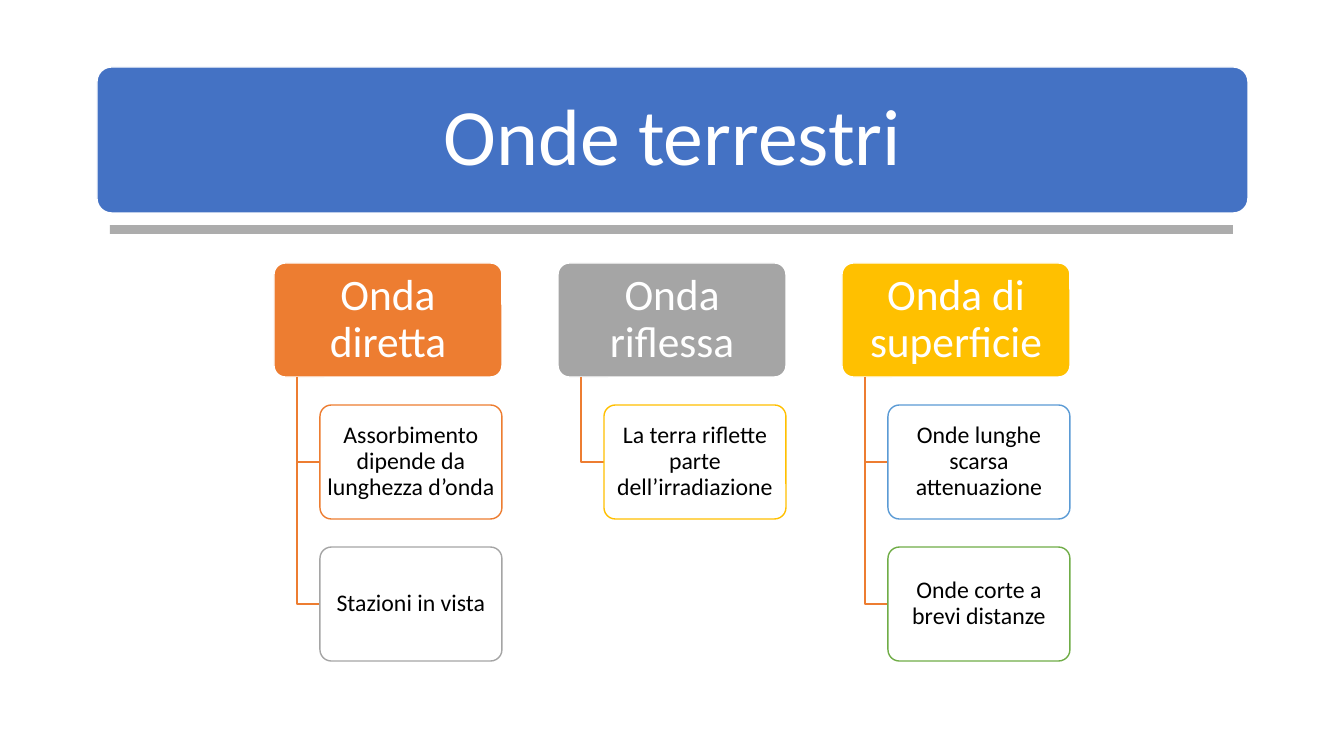
from lxml.etree import SubElement
from pptx import Presentation
from pptx.dml.color import RGBColor
from pptx.enum.shapes import MSO_SHAPE
from pptx.enum.text import MSO_ANCHOR, MSO_AUTO_SIZE, PP_ALIGN
from pptx.oxml.ns import qn
from pptx.util import Emu, Pt

WHITE = RGBColor(0xFF, 0xFF, 0xFF)
BLACK = RGBColor(0x00, 0x00, 0x00)
BLUE = RGBColor(0x44, 0x72, 0xC4)
ORANGE = RGBColor(0xED, 0x7D, 0x31)
GRAY = RGBColor(0xA5, 0xA5, 0xA5)
DARK_GRAY = RGBColor(0x80, 0x80, 0x80)
GOLD = RGBColor(0xFF, 0xC0, 0x00)
LIGHT_BLUE = RGBColor(0x5B, 0x9B, 0xD5)
GREEN = RGBColor(0x70, 0xAD, 0x47)

WIDTH, HEIGHT = 1344, 756
COLUMN_X, COLUMN_STEP = 274, 284
HEAD_Y, HEAD_W, BOX_H = 263, 228, 114
LEAF_Y, LEAF_STEP, LEAF_W = 405, 142, 182
STEM_DX, LEAF_DX = 23, 46

COLUMNS = [
    ("Onda diretta", ORANGE, [
        ("Assorbimento dipende da lunghezza d’onda", ORANGE),
        ("Stazioni in vista", GRAY),
    ]),
    ("Onda riflessa", GRAY, [
        ("La terra riflette parte dell’irradiazione", GOLD),
    ]),
    ("Onda di superficie", GOLD, [
        ("Onde lunghe scarsa attenuazione", LIGHT_BLUE),
        ("Onde corte a brevi distanze", GREEN),
    ]),
]


def px(n):
    return Emu(round(n * 914400 / 100.8))


class Deck:
    font = "Calibri"
    line_width = Pt(1)

    def __init__(self):
        self.prs = Presentation()
        self.prs.slide_width = px(WIDTH)
        self.prs.slide_height = px(HEIGHT)
        self.s = self.prs.slides.add_slide(self.prs.slide_layouts[5])

    def text(self, sp, text, size, color, inset_x, inset_y):
        tf = sp.text_frame
        tf.word_wrap = True
        tf.auto_size = MSO_AUTO_SIZE.NONE
        tf.vertical_anchor = MSO_ANCHOR.MIDDLE
        tf.margin_left = tf.margin_right = px(inset_x)
        tf.margin_top = tf.margin_bottom = px(inset_y)
        p = tf.paragraphs[0]
        p.alignment = PP_ALIGN.CENTER
        p.line_spacing = 0.9
        r = p.add_run()
        r.text = text
        r.font.name = self.font
        r.font.size = Pt(size)
        r.font.color.rgb = color

    def title(self, text, x, y, w, h):
        sp = self.s.shapes.title
        sp.left, sp.top, sp.width, sp.height = map(px, (x, y, w, h))
        self.text(sp, text, 57, WHITE, 24, 24)
        return sp

    def box(self, kind, x, y, w, h, fill, line=None, opacity=100):
        sp = self.s.shapes.add_shape(kind, *map(px, (x, y, w, h)))
        sp.shadow.inherit = False
        sp.fill.solid()
        sp.fill.fore_color.rgb = fill
        if opacity < 100:
            clr = sp.element.spPr.find(qn("a:solidFill"))[0]
            SubElement(clr, qn("a:alpha"), val=str(opacity * 1000))
        if line is None:
            sp.line.fill.background()
        else:
            sp.line.color.rgb = line
            sp.line.width = self.line_width
        return sp

    def rounded(self, x, y, w, h, fill, line, opacity=100):
        sp = self.box(MSO_SHAPE.ROUNDED_RECTANGLE, x, y, w, h, fill, line, opacity)
        sp.adjustments[0] = 0.1
        return sp

    def elbow(self, x, y, end_x, end_y):
        fb = self.s.shapes.build_freeform(px(x), px(y))
        fb.add_line_segments([(px(x), px(end_y)), (px(end_x), px(end_y))], close=False)
        sp = fb.convert_to_shape()
        sp.shadow.inherit = False
        sp.fill.background()
        sp.line.color.rgb = ORANGE
        sp.line.width = self.line_width

    def column(self, x, name, color, leaves):
        head = self.rounded(x, HEAD_Y, HEAD_W, BOX_H, color, WHITE)
        self.text(head, name, 31, WHITE, 6, 4)
        for i, (label, outline) in enumerate(leaves):
            y = LEAF_Y + i * LEAF_STEP
            self.elbow(x + STEM_DX, HEAD_Y + BOX_H, x + LEAF_DX, y + BOX_H // 2)
            leaf = self.rounded(x + LEAF_DX, y, LEAF_W, BOX_H, WHITE, outline, 90)
            self.text(leaf, label, 17, BLACK, 3, 2)


def main():
    deck = Deck()
    banner = deck.rounded(97, 67, 1151, 146, BLUE, WHITE)
    title = deck.title("Onde terrestri", 101, 71, 1143, 138)
    title.element.addprevious(banner.element)
    deck.box(MSO_SHAPE.RECTANGLE, 110, 225, 1123, 9, DARK_GRAY, opacity=65)
    for i, (name, color, leaves) in enumerate(COLUMNS):
        deck.column(COLUMN_X + i * COLUMN_STEP, name, color, leaves)
    deck.prs.save("out.pptx")


if __name__ == "__main__":
    main()
